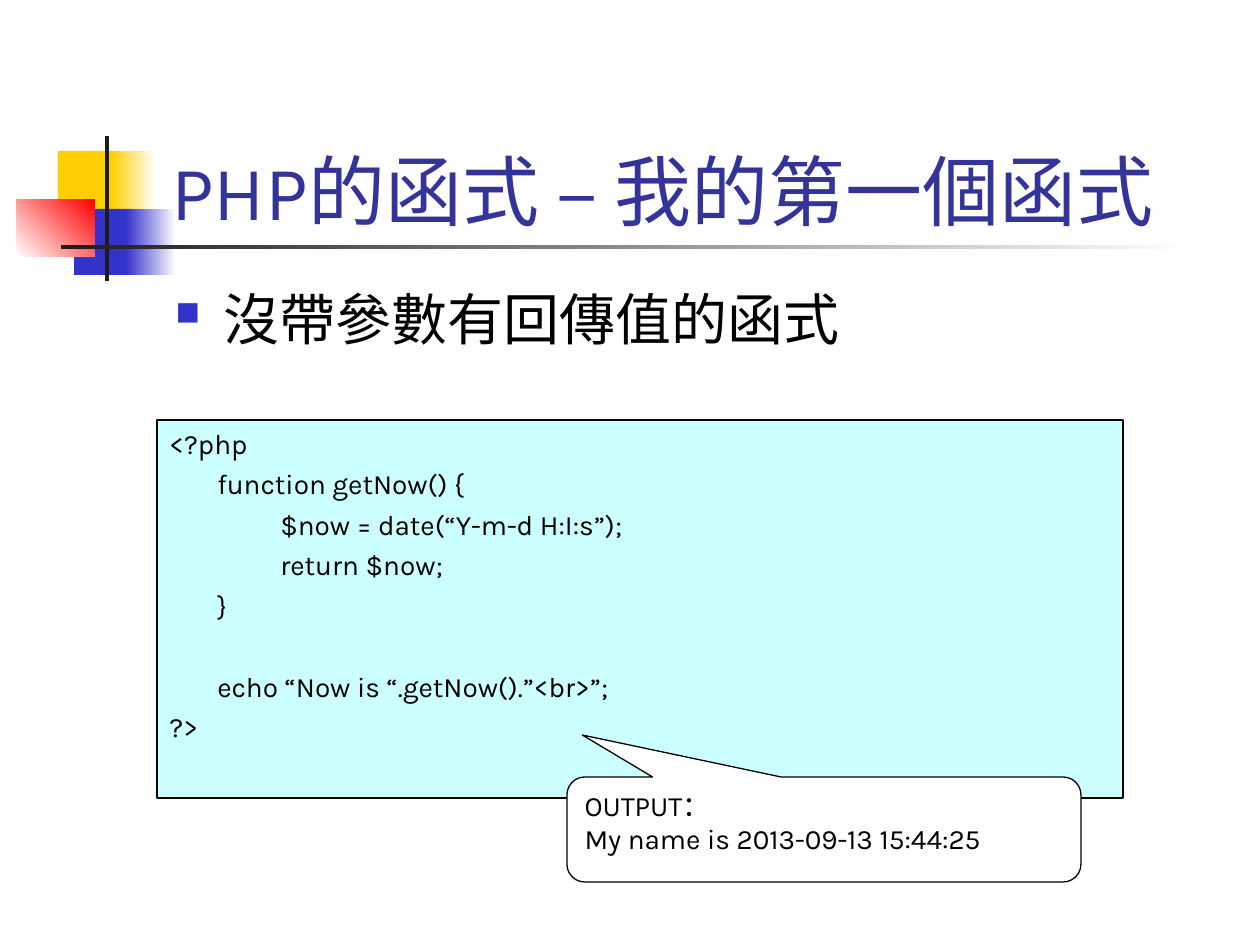
from pptx import Presentation
from pptx.dml.color import RGBColor
from pptx.enum.shapes import MSO_SHAPE
from pptx.enum.text import MSO_ANCHOR, PP_ALIGN
from pptx.oxml import parse_xml
from pptx.oxml.ns import nsdecls
from pptx.util import Emu, Inches, Pt

FONT = "Karla"
HUES = {
    "white": "FFFFFF", "black": "000000", "gold": "FFCF01", "blue": "3333CC",
    "red": "FF0000", "dark": "1C1C1C", "navy": "333399", "aqua": "CCFFFF",
}

DECOR = [
    ((58, 151, 60, 66), ["gold"], 0),
    ((111, 151, 45, 66), ["gold", "white"], 0),
    ((74, 209, 58, 66), ["blue"], 0),
    ((126, 209, 50, 66), ["blue", "white"], 0),
    ((17, 199, 78, 58), ["white", "red"], 45),
    ((105, 136, 4, 145), ["dark"], 0),
    ((61, 245, 1134, 4), ["dark", "white"], 0),
]
TITLE = ["PHP的函式 – 我的第一個函式"]
POINT = ["沒帶參數有回傳值的函式"]
CODE = [
    "<?php",
    "\tfunction getNow() {",
    "\t\t$now = date(“Y-m-d H:I:s”);",
    "\t\treturn $now;",
    "\t}",
    "\techo “Now is “.getNow().”<br>”;",
    "?>",
]
ECHO = 5
OUTPUT = ["OUTPUT：", "My name is 2013-09-13 15:44:25"]
HANG = Inches(0.38)


def px(n):
    return Emu(round(n * 914400 / 126))


def hue(name):
    return RGBColor.from_string(HUES[name])


def draw(slide, kind, box, fills, angle=0, edge=None):
    shape = slide.shapes.add_shape(kind, *map(px, box))
    shape.shadow.inherit = False
    if len(fills) == 1:
        shape.fill.solid()
        shape.fill.fore_color.rgb = hue(fills[0])
    else:
        shape.fill.gradient()
        shape.fill.gradient_angle = angle
        for i, stop in enumerate(shape.fill.gradient_stops):
            stop.position = i
            stop.color.rgb = hue(fills[i])
    if edge:
        shape.line.color.rgb = hue(edge)
        shape.line.width = Pt(0.75)
    else:
        shape.line.fill.background()
    return shape


def write(shape, lines, size, color="black", anchor=MSO_ANCHOR.TOP,
          hang=False, bullet=None, tabs=0, gaps=None):
    frame = shape.text_frame
    frame.word_wrap = True
    frame.vertical_anchor = anchor
    for i, line in enumerate(lines):
        para = frame.paragraphs[0] if i == 0 else frame.add_paragraph()
        para.text = line
        para.alignment = PP_ALIGN.LEFT
        para.space_before = Pt(gaps[i] if gaps else 0)
        props = para._p.get_or_add_pPr()
        if hang:
            props.set("marL", str(HANG))
            props.set("indent", str(-HANG))
        parts = []
        if bullet:
            parts += [
                f'<a:buClr {nsdecls("a")}><a:srgbClr val="{HUES["blue"]}"/></a:buClr>',
                f'<a:buSzPct {nsdecls("a")} val="60000"/>',
                f'<a:buChar {nsdecls("a")} char="{bullet}"/>',
            ]
        if tabs:
            stops = "".join(f'<a:tab pos="{Inches(n)}" algn="l"/>' for n in range(tabs))
            parts.append(f'<a:tabLst {nsdecls("a")}>{stops}</a:tabLst>')
        for part in parts:
            props.append(parse_xml(part))
        for run in para.runs:
            run.font.name = FONT
            run.font.size = Pt(size)
            run.font.color.rgb = hue(color)


def main():
    deck = Presentation()
    deck.slide_width, deck.slide_height = px(1260), px(945)
    slide = deck.slides.add_slide(deck.slide_layouts[6])

    for box, fills, angle in DECOR:
        draw(slide, MSO_SHAPE.RECTANGLE, box, fills, angle)

    title = slide.shapes.add_textbox(*map(px, (159, 84, 1074, 158)))
    write(title, TITLE, 44, "navy", MSO_ANCHOR.BOTTOM)

    point = slide.shapes.add_textbox(*map(px, (163, 278, 1071, 89)))
    write(point, POINT, 32, hang=True, bullet="■")

    code = draw(slide, MSO_SHAPE.RECTANGLE, (157, 420, 966, 378), ["aqua"], edge="black")
    gaps = [0] + [4] * (len(CODE) - 1)
    gaps[ECHO] = 27
    write(code, CODE, 16, hang=True, tabs=8, gaps=gaps)

    note = draw(slide, MSO_SHAPE.ROUNDED_RECTANGULAR_CALLOUT, (567, 777, 514, 105),
                ["white"], edge="black")
    for i, value in enumerate((-0.47, -0.9, 0.17)):
        note.adjustments[i] = value
    write(note, OUTPUT, 16)

    deck.save("out.pptx")


if __name__ == "__main__":
    main()
